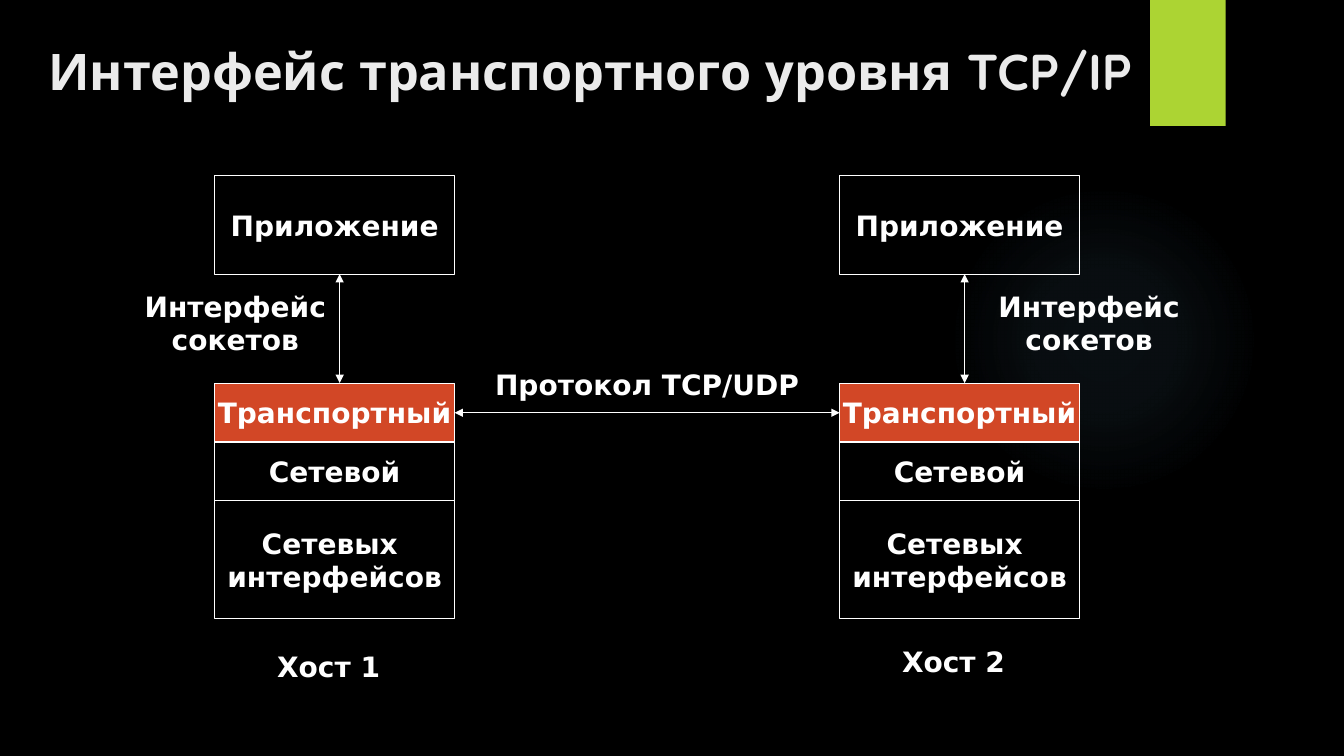
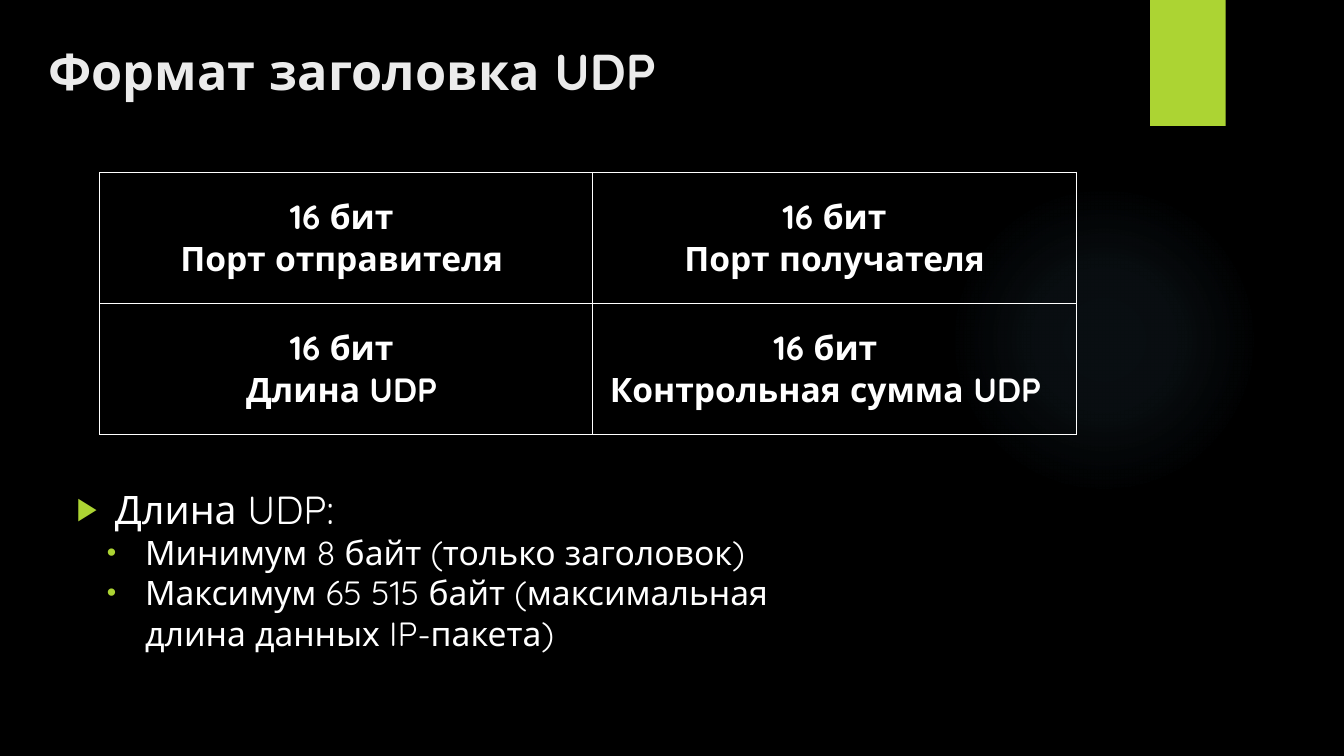
import pptx
import pptx.util
import pptx.oxml
import pptx.oxml.ns
import pptx.dml.color
import pptx.enum.shapes
import pptx.enum.text

PX = 9144  # 100 px to the inch
WHITE, TITLE_GREY, LIME, ORANGE, GLOW = "FFFFFF", "EBEBEB", "ACD433", "D24726", "7AC4F0"
DIAGRAM_FONT, TEXT_FONT = "DejaVu Sans", "Quicksand"
SHAPE = pptx.enum.shapes.MSO_SHAPE
ALIGN = pptx.enum.text.PP_ALIGN
ANCHOR = pptx.enum.text.MSO_ANCHOR
TITLE_ONLY, TITLE_AND_BODY = 5, 1

# Slide 1: host stack
HOST_WIDTH = 238
LAYERS = [  # text, top, height, fill
    ("Приложение", 174, 98, None),
    ("Транспортный", 380, 59, ORANGE),
    ("Сетевой", 438, 59, None),
    ("Сетевых \nинтерфейсов", 497, 117, None),
]
HOSTS = [  # name, left, top of name, left of socket label
    ("Хост 1", 213, 639, 130),
    ("Хост 2", 833, 634, 977),
]
SOCKET_LABEL = "Интерфейс\nсокетов"
PROTOCOL_LABEL = "Протокол TCP/UDP"

# Slide 2: header fields
FIELD_COLUMNS = [489, 480]
FIELD_ROW = 130
FIELDS = [  # text, extra right margin
    [("16 бит\nПорт отправителя", 9), ("16 бит\nПорт получателя", 0)],
    [("16 бит\nДлина UDP", 9), ("16 бит\nКонтрольная сумма UDP", 18)],
]
BULLETS = [  # level, text
    (0, "Длина UDP:"),
    (1, "Минимум 8 байт (только заголовок)"),
    (1, "Максимум 65 515 байт (максимальная длина данных IP-пакета)"),
]
BULLET_STYLES = [("▶", 38, 28), ("•", 68, 24)]  # sign, indent, size


def px(*lengths):
    return [round(length * PX) for length in lengths]


def color(value):
    return pptx.dml.color.RGBColor.from_string(value)


def xml(text):
    """Make an element from markup, adding the drawing namespace to its root tag."""
    cut = min(i for i in (text.find(" "), text.find("/"), text.find(">")) if i > 0)
    return pptx.oxml.parse_xml(f"{text[:cut]} {pptx.oxml.ns.nsdecls('a')}{text[cut:]}")


def style(para, size, font, ink=WHITE, bold=True, align=ALIGN.CENTER):
    para.alignment = align
    for span in para.runs:
        span.font.size = pptx.util.Pt(size)
        span.font.name = font
        span.font.bold = bold
        span.font.color.rgb = color(ink)


def write(frame, text, size, font):
    frame.text = text
    for para in frame.paragraphs:
        style(para, size, font)


def plain_shape(page, kind, left, top, width, height, fill=None):
    shape = page.shapes.add_shape(kind, *px(left, top, width, height))
    shape.shadow.inherit = False
    shape.line.fill.background()
    if fill:
        shape.fill.solid()
        shape.fill.fore_color.rgb = color(fill)
    else:
        shape.fill.background()
    return shape


def decorate_master(deck, page):
    """Put the background, glow and lime tag on the master, by way of a page."""
    master = deck.slide_master
    master.background.fill.solid()
    master.background.fill.fore_color.rgb = color("000000")

    glow = plain_shape(page, SHAPE.OVAL, 941, 183, 308, 308)
    properties = glow.element.spPr
    stops = "".join(
        f'<a:gs pos="{place}000"><a:srgbClr val="{GLOW}"><a:alpha val="{alpha}000"/></a:srgbClr></a:gs>'
        for place, alpha in [(0, 7), (36, 6), (69, 0)])
    no_fill = properties.find(pptx.oxml.ns.qn("a:noFill"))
    properties.replace(no_fill, xml(
        f'<a:gradFill rotWithShape="1"><a:gsLst>{stops}</a:gsLst><a:path path="circle">'
        '<a:fillToRect l="50000" t="50000" r="50000" b="50000"/></a:path></a:gradFill>'))

    tag = plain_shape(page, SHAPE.RECTANGLE, 1141, 0, 75, 125, LIME)
    tag.element.spPr.find(pptx.oxml.ns.qn("a:effectLst")).append(xml(
        '<a:outerShdw blurRad="38100" dist="25400" dir="5400000" rotWithShape="0">'
        '<a:srgbClr val="000000"><a:alpha val="45000"/></a:srgbClr></a:outerShdw>'))

    for order, shape in enumerate((glow, tag)):
        shape.element.nvSpPr.cNvPr.set("id", str(20 + order))
        master.shapes.element.insert(2 + order, shape.element)


def place(holder, left, top, width, height):
    holder.left, holder.top, holder.width, holder.height = px(left, top, width, height)
    frame = holder.text_frame
    frame.auto_size = pptx.enum.text.MSO_AUTO_SIZE.NONE
    frame.vertical_anchor = ANCHOR.TOP
    frame.word_wrap = True
    return frame


def add_page(deck, layout, title):
    page = deck.slides.add_slide(deck.slide_layouts[layout])
    frame = place(page.shapes.title, 38, 35, 1105, 89)
    frame.text = title
    style(frame.paragraphs[0], 36, TEXT_FONT, TITLE_GREY, align=ALIGN.LEFT)
    return page


def add_label(page, text, left, top, width, height=44):
    box = page.shapes.add_textbox(*px(left, top, width, height))
    box.text_frame.word_wrap = True
    write(box.text_frame, text, 20, DIAGRAM_FONT)


def add_layer(page, left, text, top, height, fill):
    box = plain_shape(page, SHAPE.RECTANGLE, left, top, HOST_WIDTH, height, fill)
    box.line.color.rgb = color(WHITE)
    box.line.width = pptx.util.Pt(0.75)
    frame = box.text_frame
    frame.word_wrap = False
    frame.vertical_anchor = ANCHOR.MIDDLE
    write(frame, text, 20, DIAGRAM_FONT)
    return box


def add_double_arrow(page, x1, y1, x2, y2):
    arrow = page.shapes.add_connector(
        pptx.enum.shapes.MSO_CONNECTOR.STRAIGHT, *px(x1, y1, x2, y2))
    arrow.line.color.rgb = color(WHITE)
    arrow.line.width = pptx.util.Pt(0.75)
    outline = arrow.line.fill and arrow.element.spPr.find(pptx.oxml.ns.qn("a:ln"))
    for end in ("headEnd", "tailEnd"):
        outline.append(xml(f'<a:{end} type="triangle"/>'))
    arrow.element.spPr.append(xml("<a:effectLst/>"))
    return arrow


def draw_hosts(page):
    transports = []
    app_bottom = LAYERS[0][1] + LAYERS[0][2]
    transport_top, transport_height = LAYERS[1][1:3]
    for name, left, name_top, socket_left in HOSTS:
        boxes = [add_layer(page, left, *layer) for layer in LAYERS]
        transports.append(boxes[1])
        add_double_arrow(page, left + 124, app_bottom, left + 124, transport_top)
        add_label(page, SOCKET_LABEL, socket_left, 282, 207, 77)
        add_label(page, name, left - 11, name_top, 248)
    middle = transport_top + transport_height / 2
    link = add_double_arrow(page, HOSTS[0][1] + HOST_WIDTH, middle, HOSTS[1][1], middle)
    link.begin_connect(transports[0], 3)
    link.end_connect(transports[1], 1)
    add_label(page, PROTOCOL_LABEL, 461, 360, 362)


def draw_fields(page):
    table = page.shapes.add_table(
        len(FIELDS), len(FIELD_COLUMNS),
        *px(99, 171, sum(FIELD_COLUMNS), FIELD_ROW * len(FIELDS))).table
    table.first_row = table.horz_banding = False
    for column, width in zip(table.columns, px(*FIELD_COLUMNS)):
        column.width = width
    for row, fields in zip(table.rows, FIELDS):
        row.height = px(FIELD_ROW)[0]
        for cell, (text, extra_margin) in zip(row.cells, fields):
            cell.vertical_anchor = ANCHOR.MIDDLE
            cell.margin_left, cell.margin_right = px(10, 10 + extra_margin)
            write(cell.text_frame, text, 24, TEXT_FONT)
            cell.fill.background()
            properties = cell.fill and cell._tc.get_or_add_tcPr()
            for order, side in enumerate("LRTB"):
                properties.insert(order, xml(
                    f'<a:ln{side} w="9525"><a:solidFill><a:srgbClr val="{WHITE}"/>'
                    f'</a:solidFill></a:ln{side}>'))


def write_bullets(page):
    frame = place(page.placeholders[1], 66, 476, 810, 194)
    frame.text = "\n".join(text for _, text in BULLETS)
    for para, (level, _) in zip(frame.paragraphs, BULLETS):
        sign, indent, size = BULLET_STYLES[level]
        para.level = level
        properties = para._p.get_or_add_pPr()
        properties.set("marL", str(indent * PX))
        properties.set("indent", str(-38 * PX))
        for bullet in (f'<a:buClr><a:srgbClr val="{LIME}"/></a:buClr>',
                       '<a:buSzPct val="80000"/>',
                       f'<a:buChar char="{sign}"/>'):
            properties.append(xml(bullet))
        para.space_before = pptx.util.Pt(0)
        style(para, size, TEXT_FONT, bold=False, align=ALIGN.LEFT)


def main():
    deck = pptx.Presentation()
    deck.slide_width, deck.slide_height = px(1333.33, 750)

    hosts_page = add_page(deck, TITLE_ONLY, "Интерфейс транспортного уровня TCP/IP")
    decorate_master(deck, hosts_page)
    draw_hosts(hosts_page)

    header_page = add_page(deck, TITLE_AND_BODY, "Формат заголовка UDP")
    write_bullets(header_page)
    draw_fields(header_page)

    deck.save("out.pptx")


if __name__ == "__main__":
    main()
